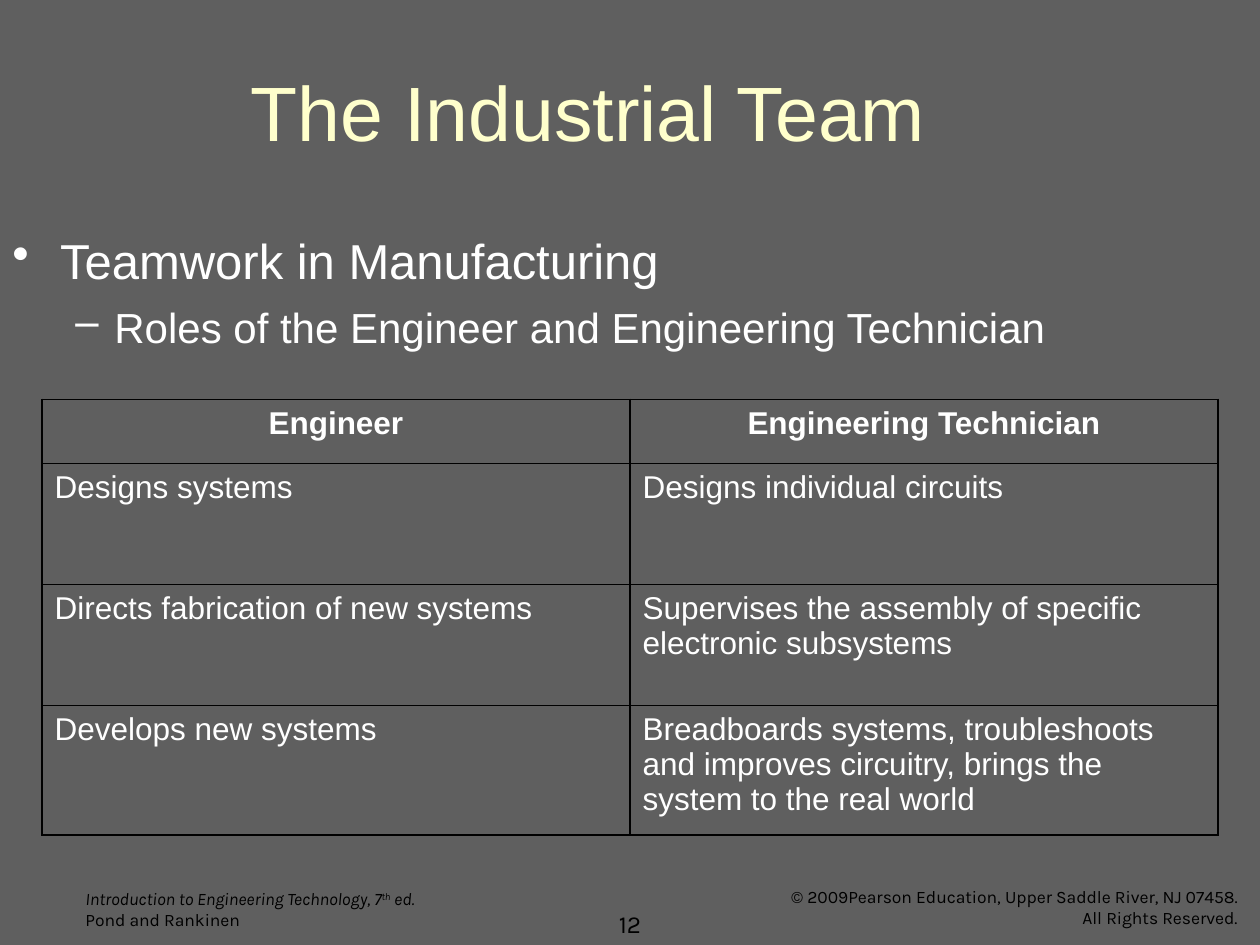
"""Build the slide that compares the roles of engineer and engineering technician."""
from dataclasses import dataclass
from typing import NamedTuple

from lxml import etree
from pptx import Presentation
from pptx import util as u
from pptx.dml.color import RGBColor
from pptx.enum import text
from pptx.oxml import ns

ALIGN, ANCHOR = text.PP_ALIGN, text.MSO_ANCHOR


@dataclass(frozen=True)
class Theme:
    width: float = 10
    height: float = 7.5
    back: str = "5F5F5F"
    title: str = "FFFFCC"
    light: str = "FFFFFF"
    dark: str = "000000"
    main_font: str = "Arial"
    foot_font: str = "Karla"
    title_size: float = 44
    point_size: float = 28
    subpoint_size: float = 24
    table_size: float = 18
    number_size: float = 14
    foot_size: float = 10
    outer_line: float = 1.08
    inner_line: float = 0.45


THEME = Theme()


class Area(NamedTuple):
    left: float
    top: float
    width: float
    height: float


class Span(NamedTuple):
    words: str
    italic: bool = False
    raised: bool = False


class Style(NamedTuple):
    font: str
    size: float
    color: str
    align: ALIGN = ALIGN.LEFT
    bold: bool = False


class Bullet(NamedTuple):
    mark: str
    words: str
    size: float
    level: int
    margin: float
    hang: float
    before: float


class Block(NamedTuple):
    area: Area
    style: Style
    lines: list[list[Span]]
    anchor: ANCHOR = ANCHOR.TOP


FOOT = Style(THEME.foot_font, THEME.foot_size, THEME.dark)
BLOCKS = [
    Block(Area(0.58, 7, 3.17, 0.44), FOOT, [
        [Span("Introduction to Engineering Technology, 7", True), Span("th", True, True), Span(" ed.", True)],
        [Span("Pond and Rankinen")],
    ]),
    Block(Area(5.75, 6.98, 4.17, 0.44), FOOT._replace(align=ALIGN.RIGHT), [
        [Span("© 2009Pearson Education, Upper Saddle River, NJ 07458.")],
        [Span("All Rights Reserved.")],
    ]),
    Block(Area(4.75, 7, 0.5, 0.5), FOOT._replace(size=THEME.number_size, align=ALIGN.CENTER),
          [[Span("12")]], ANCHOR.BOTTOM),
    Block(Area(0, 0.25, 9.34, 1.25), Style(THEME.main_font, THEME.title_size, THEME.title, ALIGN.CENTER),
          [[Span("The Industrial Team")]], ANCHOR.MIDDLE),
]
BULLETS = [
    Bullet("•", "Teamwork in Manufacturing", THEME.point_size, 0, 0.38, 0.38, 0),
    Bullet("–", "Roles of the Engineer and Engineering Technician", THEME.subpoint_size, 1, 0.81, 0.31, 7),
]
ROLES = [
    ("Engineer", "Engineering Technician"),
    ("Designs systems", "Designs individual circuits"),
    ("Directs fabrication of new systems", "Supervises the assembly of specific electronic subsystems"),
    ("Develops new systems",
     "Breadboards systems, troubleshoots and improves circuitry, brings the system to the real world"),
]
ROW_HEIGHTS = [0.51, 0.96, 0.96, 1.03]


def apply_style(para, style: Style) -> None:
    """Align a paragraph and format its runs."""
    para.alignment = style.align
    for run in para.runs:
        run.font.name = style.font
        run.font.size = u.Pt(style.size)
        run.font.bold = style.bold
        run.font.color.rgb = RGBColor.from_string(style.color)


def add_box(slide, area: Area, anchor: ANCHOR = ANCHOR.TOP):
    """Add a wrapping text box and return its text frame."""
    frame = slide.shapes.add_textbox(*map(u.Inches, area)).text_frame
    frame.word_wrap = True
    frame.vertical_anchor = anchor
    return frame


def next_para(frame, index: int):
    """Return the first paragraph of a frame, or a new one after it."""
    return frame.add_paragraph() if index else frame.paragraphs[0]


def draw_block(slide, block: Block) -> None:
    """Draw a text block made of lines of spans."""
    frame = add_box(slide, block.area, block.anchor)
    for index, line in enumerate(block.lines):
        para = next_para(frame, index)
        for span in line:
            run = para.add_run()
            run.text = span.words
            run.font.italic = span.italic
            if span.raised:
                run.font._element.set("baseline", "30000")
        apply_style(para, block.style)


def draw_bullets(slide, area: Area, bullets: list[Bullet]) -> None:
    """Draw the bulleted points with hanging indents."""
    frame = add_box(slide, area)
    frame.margin_top = u.Inches(0.08)
    for index, bullet in enumerate(bullets):
        para = next_para(frame, index)
        para.text = bullet.words
        para.level = bullet.level
        para.space_before = u.Pt(bullet.before)
        props = para._p.get_or_add_pPr()
        props.set("marL", str(u.Inches(bullet.margin)))
        props.set("indent", str(-u.Inches(bullet.hang)))
        etree.SubElement(props, ns.qn("a:buChar")).set("char", bullet.mark)
        apply_style(para, Style(THEME.main_font, bullet.size, THEME.light))


def set_borders(cell, widths: dict[str, float]) -> None:
    """Give a cell solid borders of the stated widths."""
    props = cell._tc.get_or_add_tcPr()
    for position, (side, width) in enumerate(widths.items()):
        line = etree.Element(ns.qn(f"a:ln{side}"), w=str(u.Pt(width)))
        fill = etree.SubElement(line, ns.qn("a:solidFill"))
        etree.SubElement(fill, ns.qn("a:srgbClr")).set("val", THEME.dark)
        props.insert(position, line)


def draw_table(slide, area: Area, rows: list[tuple[str, str]], heights: list[float]) -> None:
    """Draw the table of roles with a bold heading row."""
    table = slide.shapes.add_table(len(rows), len(rows[0]), *map(u.Inches, area)).table
    table.first_row = table.horz_banding = False
    outer, inner = THEME.outer_line, THEME.inner_line
    body = Style(THEME.main_font, THEME.table_size, THEME.light)
    heading = body._replace(align=ALIGN.CENTER, bold=True)
    for index, (row, height) in enumerate(zip(rows, heights)):
        table.rows[index].height = u.Inches(height)
        top = inner if index else outer
        bottom = outer if index == len(rows) - 1 else inner
        for column, words in enumerate(row):
            cell = table.cell(index, column)
            cell.fill.background()
            cell.text_frame.text = words
            apply_style(cell.text_frame.paragraphs[0], body if index else heading)
            set_borders(cell, {"L": outer, "R": outer, "T": top, "B": bottom})


def main() -> None:
    """Build and save the deck."""
    deck = Presentation()
    deck.slide_width, deck.slide_height = u.Inches(THEME.width), u.Inches(THEME.height)
    page = deck.slides.add_slide(deck.slide_layouts[6])
    page.background.fill.solid()
    page.background.fill.fore_color.rgb = RGBColor.from_string(THEME.back)
    for block in BLOCKS:
        draw_block(page, block)
    draw_bullets(page, Area(0, 1.75, 9.34, 1.5), BULLETS)
    draw_table(page, Area(THEME.width / 30, 3.17, THEME.width * 14 / 15, sum(ROW_HEIGHTS)), ROLES, ROW_HEIGHTS)
    deck.save("out.pptx")


if __name__ == "__main__":
    main()
